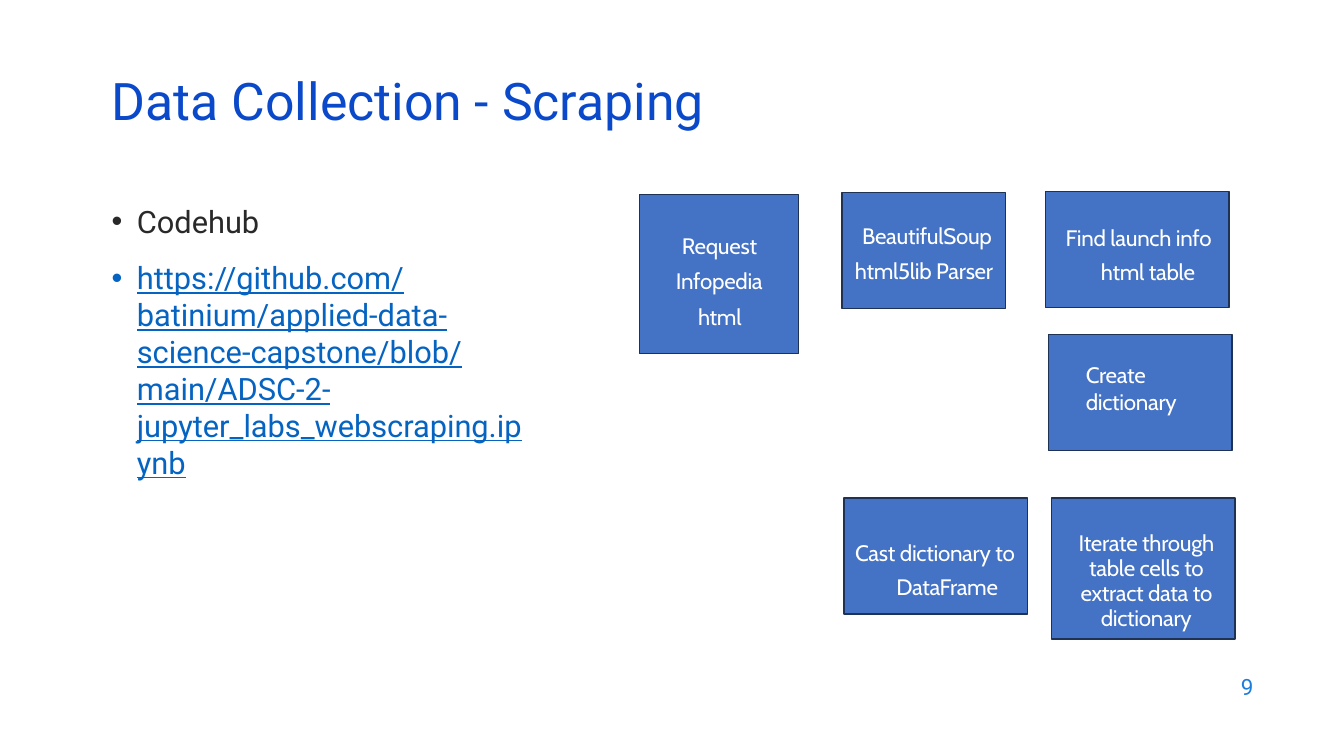
from dataclasses import dataclass

from lxml.etree import SubElement
from pptx import Presentation
from pptx.dml.color import RGBColor
from pptx.enum.shapes import MSO_SHAPE as Preset
from pptx.enum.text import MSO_ANCHOR as Anchor, MSO_AUTO_SIZE as AutoSize, PP_ALIGN as Align
from pptx.oxml.ns import qn
from pptx.util import Inches, Pt


@dataclass(frozen=True)
class Theme:
    title: str = "0B49CB"
    body: str = "292929"
    link: str = "0563C1"
    number: str = "1C7DDB"
    step_fill: str = "4472C4"
    step_line: str = "1E3256"
    step_text: str = "FFFFFF"
    text_font: str = "Roboto"
    step_font: str = "Cabin"
    title_size: int = 37
    body_size: int = 22
    small_size: int = 16


THEME = Theme()
URL = ("https://github.com/batinium/applied-data-science-capstone/blob/main/"
       "ADSC-2-jupyter_labs_webscraping.ipynb")

STEPS = [
    ((8.37, 4.94, 1.82, 1.15), (8.47, 5.24, 1.62, 0.69),
     [("Cast dictionary to DataFrame", 0.42, -0.41)], {"line_spacing": Pt(24.2)}),
    ((10.43, 4.94, 1.82, 1.4), (10.55, 5.24, 1.63, 1.03),
     [("Iterate through table cells to extract data to dictionary", 0.01, 0)],
     {"line_spacing": 0.92, "alignment": Align.CENTER}),
    ((10.4, 3.32, 1.82, 1.15), (10.76, 3.54, 1.17, 0.58),
     [("Create dictionary", 0.01, 0)], {}),
    ((10.37, 1.9, 1.82, 1.15), (10.55, 2.11, 1.54, 0.69),
     [("Find launch info html table", 0.37, -0.35)], {"line_spacing": Pt(24.3)}),
    ((8.35, 1.91, 1.62, 1.15), (8.47, 2.08, 1.46, 0.71),
     [("BeautifulSoup", 0.08, 0), ("html5lib Parser", 0.01, 0)],
     {"line_spacing": Pt(25.2)}),
    ((6.34, 1.93, 1.58, 1.58), (6.41, 2.18, 1.45, 1.06),
     [("Request Infopedia", 0, 0), ("html", 0.01, 0)],
     {"line_spacing": Pt(25.2), "alignment": Align.CENTER}),
]


def apply(target, values):
    for name, value in values.items():
        setattr(target, name, value)


def add_box(page, place, **frame_format):
    box = page.shapes.add_textbox(*map(Inches, place))
    apply(box.text_frame, {"word_wrap": True, **frame_format})
    return box.text_frame


def add_para(frame, index, text, color, size, font=THEME.text_font,
             underline=None, **para_format):
    para = frame.paragraphs[0] if index == 0 else frame.add_paragraph()
    apply(para, para_format)
    run = para.add_run()
    run.text = text
    apply(run.font, {"name": font, "size": Pt(size), "underline": underline})
    run.font.color.rgb = RGBColor.from_string(color)
    return para, run


def indent(para, margin, first_line):
    properties = para._p.get_or_add_pPr()
    properties.set("marL", str(Inches(margin)))
    properties.set("indent", str(Inches(first_line)))
    return properties


def add_bullets(page, place, items):
    frame = add_box(page, place)
    for index, (text, color, underline) in enumerate(items):
        spacing = {"space_before": Pt(14)} if index else {}
        para, _ = add_para(frame, index, text, color, THEME.body_size,
                           underline=underline, **spacing)
        properties = indent(para, 0.25, -0.25)
        SubElement(properties, qn("a:buFont")).set("typeface", "Arial")
        SubElement(properties, qn("a:buChar")).set("char", "•")


def add_step_box(page, place):
    box = page.shapes.add_shape(Preset.RECTANGLE, *map(Inches, place))
    box.shadow.inherit = False
    box.fill.solid()
    box.fill.fore_color.rgb = RGBColor.from_string(THEME.step_fill)
    box.line.color.rgb = RGBColor.from_string(THEME.step_line)
    box.line.width = Pt(1)


def add_step_label(page, place, lines, para_format):
    frame = add_box(page, place, margin_left=0, margin_right=0, margin_bottom=0,
                    margin_top=Inches(0.04), auto_size=AutoSize.SHAPE_TO_FIT_TEXT)
    for index, (text, margin, first_line) in enumerate(lines):
        para, run = add_para(frame, index, text, THEME.step_text, THEME.small_size,
                             THEME.step_font, **para_format)
        indent(para, margin, first_line)
        run.font._element.set("spc", "-20")


def main():
    deck = Presentation()
    apply(deck, {"slide_width": Inches(13.33), "slide_height": Inches(7.5)})
    page = deck.slides.add_slide(deck.slide_layouts[6])

    number = add_box(page, (9.53, 6.59, 3, 0.44), vertical_anchor=Anchor.MIDDLE)
    add_para(number, 0, "9", THEME.number, THEME.small_size, alignment=Align.RIGHT)
    add_bullets(page, (1.01, 1.96, 4.3, 4.17),
                [("Codehub", THEME.body, None), (URL, THEME.link, True)])
    title = add_box(page, (1.01, 0.77, 11.5, 0.6), vertical_anchor=Anchor.MIDDLE)
    add_para(title, 0, "Data Collection - Scraping", THEME.title, THEME.title_size,
             line_spacing=0.7)

    for box_place, label_place, lines, para_format in STEPS:
        add_step_box(page, box_place)
        add_step_label(page, label_place, lines, para_format)

    deck.save("out.pptx")


if __name__ == "__main__":
    main()
